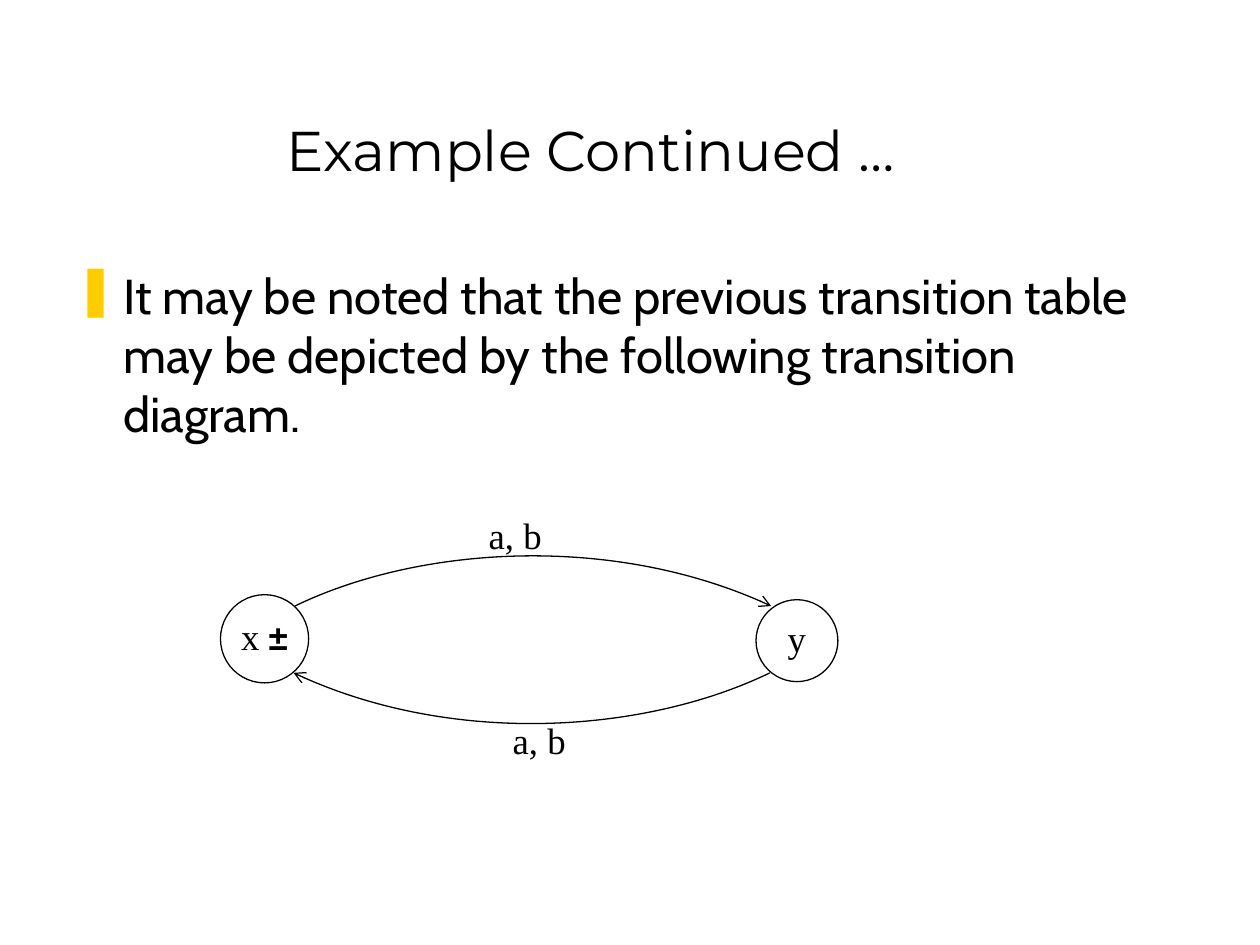
from lxml import etree
from pptx import Presentation
from pptx.dml.color import RGBColor
from pptx.enum import shapes, text
from pptx.oxml import ns
from pptx.util import Inches, Pt

BLACK = RGBColor(0x00, 0x00, 0x00)
WHITE = RGBColor(0xFF, 0xFF, 0xFF)
BULLET_COLOR = "FFCC00"
SERIF = "Times New Roman"
LINE_WIDTH = Pt(0.75)

TITLE = "Example Continued …"
BODY = ("It may be noted that the previous transition table may be depicted "
        "by the following transition diagram.")
# Left, top, diameter, runs of the label
STATES = [
    (6, 4.76, 0.65, [("y", {})]),
    (1.75, 4.72, 0.7, [("x ", {}), ("±", {"font": "Arial", "size": 20, "bold": True})]),
]
# Start, two control points and end of the curve; left and top of its label
TRANSITIONS = [
    ([(2.34, 4.81), (3.31, 4.34), (4.88, 4.23), (6.12, 4.81)], (3.78, 4.02), "a, b"),
    ([(6.11, 5.34), (5.14, 5.81), (3.58, 5.93), (2.33, 5.34)], (3.97, 5.65), "a, b"),
]


def add_run(paragraph, content, font=SERIF, size=21, bold=False):
    run = paragraph.add_run()
    run.text = content
    run.font.name = font
    run.font.size = Pt(size)
    run.font.bold = bold
    run.font.color.rgb = BLACK


def add_text(slide, box, content, anchor=text.MSO_ANCHOR.TOP,
             align=text.PP_ALIGN.LEFT, **font_format):
    frame = slide.shapes.add_textbox(*map(Inches, box)).text_frame
    frame.word_wrap = True
    frame.vertical_anchor = anchor
    paragraph = frame.paragraphs[0]
    paragraph.alignment = align
    add_run(paragraph, content, **font_format)
    return paragraph


def add_bullet(paragraph, character, color, indent):
    properties = paragraph._p.get_or_add_pPr()
    properties.set("marL", str(Inches(indent)))
    properties.set("indent", str(-Inches(indent)))
    bullet_color = etree.SubElement(properties, ns.qn("a:buClr"))
    etree.SubElement(bullet_color, ns.qn("a:srgbClr"), val=color)
    etree.SubElement(properties, ns.qn("a:buChar"), char=character)


def style_outline(shape):
    shape.shadow.inherit = False
    shape.line.color.rgb = BLACK
    shape.line.width = LINE_WIDTH


def add_state(slide, left, top, diameter, runs):
    circle = slide.shapes.add_shape(
        shapes.MSO_SHAPE.OVAL, *map(Inches, (left, top, diameter, diameter)))
    style_outline(circle)
    circle.fill.solid()
    circle.fill.fore_color.rgb = WHITE
    frame = circle.text_frame
    frame.margin_left = frame.margin_right = frame.margin_top = 0
    frame.margin_bottom = Inches(0.05)
    frame.word_wrap = False
    frame.vertical_anchor = text.MSO_ANCHOR.MIDDLE
    frame.paragraphs[0].alignment = text.PP_ALIGN.CENTER
    for content, font_format in runs:
        add_run(frame.paragraphs[0], content, **font_format)


def add_curved_arrow(slide, points):
    """Draw one cubic curve through the four points, with an open arrowhead."""
    start, *others = [(Inches(x), Inches(y)) for x, y in points]
    builder = slide.shapes.build_freeform(*start)
    builder.add_line_segments(others, close=False)
    curve = builder.convert_to_shape()
    style_outline(curve)
    curve.fill.background()
    path = curve._element.find(".//" + ns.qn("a:path"))
    bezier = etree.SubElement(path, ns.qn("a:cubicBezTo"))
    for segment in path.findall(ns.qn("a:lnTo")):
        bezier.append(segment[0])
        path.remove(segment)
    outline = curve.line._get_or_add_ln()
    etree.SubElement(outline, ns.qn("a:tailEnd"), type="arrow")


def main():
    presentation = Presentation()
    presentation.slide_width = Inches(10)
    presentation.slide_height = Inches(7.5)
    slide = presentation.slides.add_slide(presentation.slide_layouts[6])

    add_text(slide, (0.44, 0.25, 8.5, 1.25), TITLE, anchor=text.MSO_ANCHOR.BOTTOM,
             align=text.PP_ALIGN.CENTER, font="Montserrat", size=32)
    body = add_text(slide, (0.5, 2.06, 8.94, 4.56), BODY, font="Cabin", size=28)
    add_bullet(body, "❚", BULLET_COLOR, 0.38)

    for state in STATES:
        add_state(slide, *state)
    for points, (left, top), label in TRANSITIONS:
        add_curved_arrow(slide, points)
        add_text(slide, (left, top, 0.98, 0.68), label)

    presentation.save("out.pptx")


if __name__ == "__main__":
    main()
